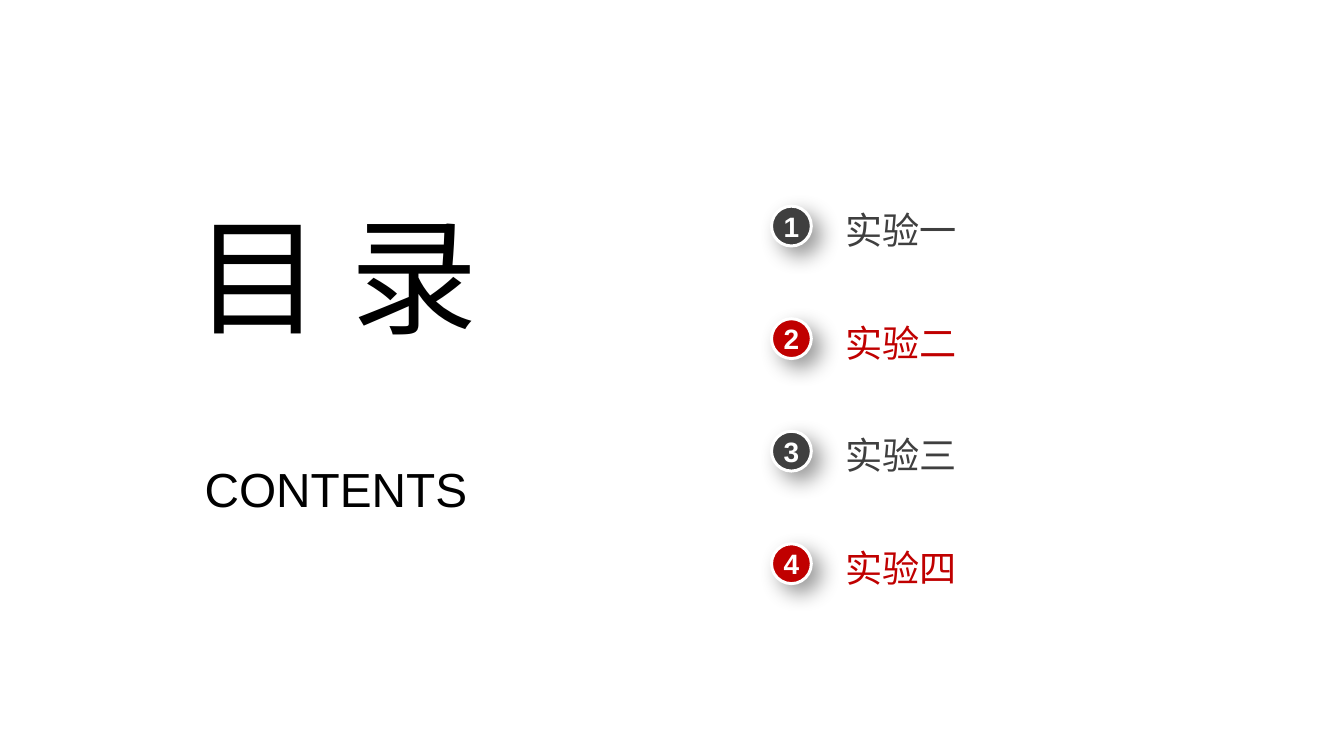
from dataclasses import dataclass

from lxml.etree import SubElement
from pptx import Presentation
from pptx.dml.color import RGBColor
from pptx.enum.lang import MSO_LANGUAGE_ID
from pptx.enum.shapes import MSO_SHAPE
from pptx.enum.text import MSO_ANCHOR, MSO_AUTO_SIZE, PP_ALIGN
from pptx.oxml.ns import qn
from pptx.shapes.autoshape import Shape
from pptx.slide import Slide
from pptx.util import Emu, Pt

EMU_PER_PX = 9525
SLIDE_W, SLIDE_H = 1350, 759
FONT = "Arial"
BLACK, WHITE, GRAY, RED = "000000", "FFFFFF", "3F3F3F", "C00000"

# Contents list layout
BADGE_X, BADGE_Y, BADGE_SIZE = 775, 207, 40
LABEL_X, LABEL_Y, LABEL_W, LABEL_H = 849, 208, 259, 45
ROW_PITCH = 113


@dataclass(frozen=True)
class Box:
    x: int
    y: int
    w: int
    h: int

    def emu(self) -> list[Emu]:
        return [px(v) for v in (self.x, self.y, self.w, self.h)]


@dataclass(frozen=True)
class TextStyle:
    size: float
    color: str
    bold: bool = False
    align: PP_ALIGN = PP_ALIGN.CENTER
    anchor: MSO_ANCHOR = MSO_ANCHOR.MIDDLE
    language: MSO_LANGUAGE_ID = MSO_LANGUAGE_ID.SIMPLIFIED_CHINESE
    auto_size: MSO_AUTO_SIZE = MSO_AUTO_SIZE.SHAPE_TO_FIT_TEXT


@dataclass(frozen=True)
class Entry:
    number: int
    label: str
    color: str


ENTRIES = [
    Entry(1, "实验一", GRAY),
    Entry(2, "实验二", RED),
    Entry(3, "实验三", GRAY),
    Entry(4, "实验四", RED),
]


def px(value: int) -> Emu:
    return Emu(value * EMU_PER_PX)


def rgb(color: str) -> RGBColor:
    return RGBColor.from_string(color)


def write(sp: Shape, text: str, style: TextStyle) -> None:
    tf = sp.text_frame
    frame_format = {
        "word_wrap": True, "auto_size": style.auto_size, "vertical_anchor": style.anchor,
        "margin_left": 0, "margin_top": 0, "margin_right": 0, "margin_bottom": 0,
    }
    for name, value in frame_format.items():
        setattr(tf, name, value)
    p = tf.paragraphs[0]
    p.alignment = style.align
    r = p.add_run()
    r.text = text
    font_format = {
        "name": FONT, "size": Pt(style.size), "bold": style.bold,
        "language_id": style.language,
    }
    for name, value in font_format.items():
        setattr(r.font, name, value)
    r.font.color.rgb = rgb(style.color)


def add_text(slide: Slide, box: Box, text: str, style: TextStyle) -> None:
    sp = slide.shapes.add_textbox(*box.emu())
    write(sp, text, style)


def add_label(slide: Slide, box: Box, text: str, color: str) -> None:
    right, bottom = box.x + box.w, box.y + box.h
    builder = slide.shapes.build_freeform(box.x, box.y, scale=EMU_PER_PX)
    builder.add_line_segments([(right, box.y), (right, bottom), (box.x, bottom)])
    sp = builder.convert_to_shape()
    sp.shadow.inherit = False
    sp.fill.background()
    sp.line.fill.background()
    write(sp, text, TextStyle(28, color, align=PP_ALIGN.LEFT))


def add_shadow(sp: Shape) -> None:
    """Soft black shadow: 16 pt blur, 9 pt away at 45 degrees, 40% opaque."""
    sp.shadow.inherit = False
    effects = sp._element.spPr.find(qn("a:effectLst"))
    shadow = SubElement(effects, qn("a:outerShdw"), blurRad=str(Pt(16)),
                        dist=str(Pt(9)), dir=str(45 * 60000), algn="tl", rotWithShape="0")
    color = SubElement(shadow, qn("a:srgbClr"), val=BLACK)
    SubElement(color, qn("a:alpha"), val="40000")


def add_badge(slide: Slide, box: Box, number: int, color: str) -> None:
    sp = slide.shapes.add_shape(MSO_SHAPE.OVAL, *box.emu())
    sp.fill.solid()
    sp.fill.fore_color.rgb = rgb(color)
    sp.line.color.rgb = rgb(WHITE)
    sp.line.width = Pt(2.25)
    add_shadow(sp)
    write(sp, str(number),
          TextStyle(21.1, WHITE, bold=True, auto_size=MSO_AUTO_SIZE.NONE))


def add_entry(slide: Slide, row: int, entry: Entry) -> None:
    dy = row * ROW_PITCH
    add_badge(slide, Box(BADGE_X, BADGE_Y + dy, BADGE_SIZE, BADGE_SIZE),
              entry.number, entry.color)
    add_label(slide, Box(LABEL_X, LABEL_Y + dy, LABEL_W, LABEL_H),
              entry.label, entry.color)


def main() -> None:
    prs = Presentation()
    prs.slide_width, prs.slide_height = px(SLIDE_W), px(SLIDE_H)
    slide = prs.slides.add_slide(prs.slide_layouts[6])

    # Numbered entries
    for row, entry in enumerate(ENTRIES):
        add_entry(slide, row, entry)

    # Title and subtitle
    add_text(slide, Box(175, 197, 326, 155), "目 录", TextStyle(96, BLACK))
    add_text(slide, Box(164, 462, 347, 58), "CONTENTS",
             TextStyle(36, BLACK, anchor=MSO_ANCHOR.TOP,
                       language=MSO_LANGUAGE_ID.ENGLISH_US))

    prs.save("out.pptx")


if __name__ == "__main__":
    main()
